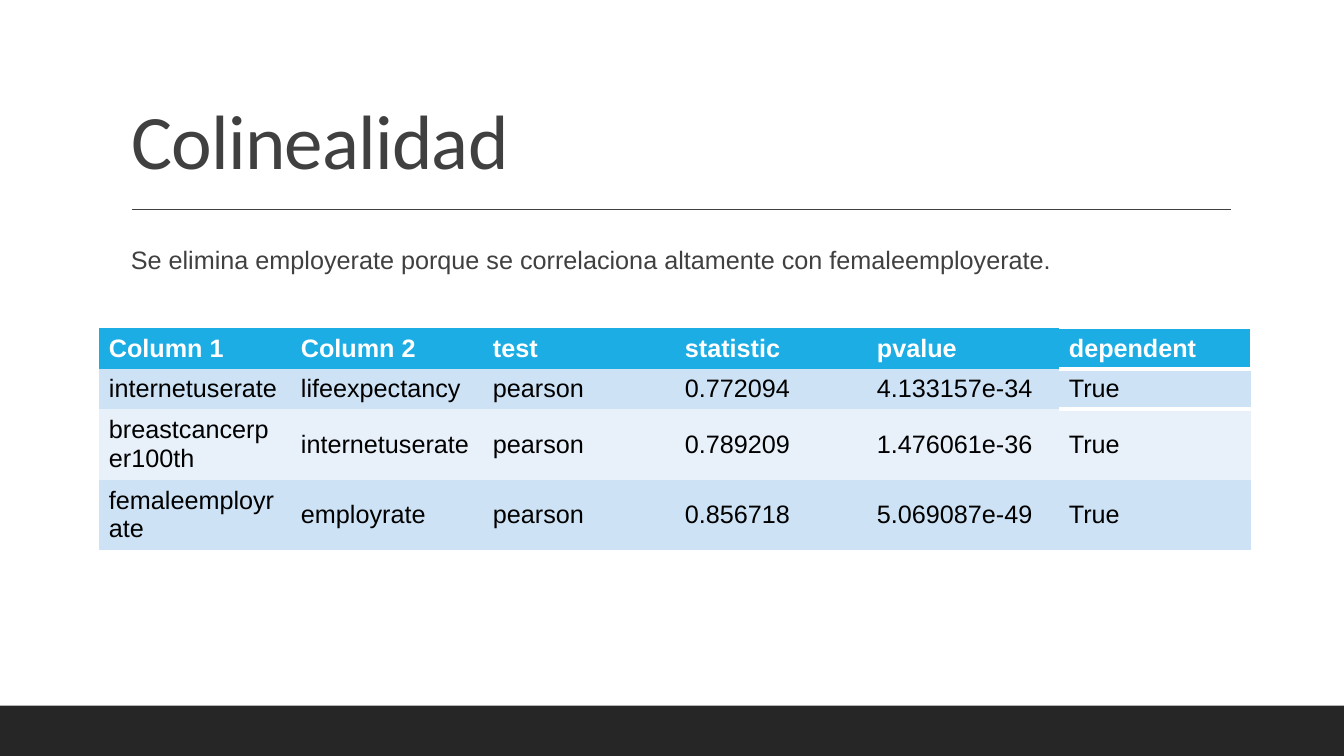
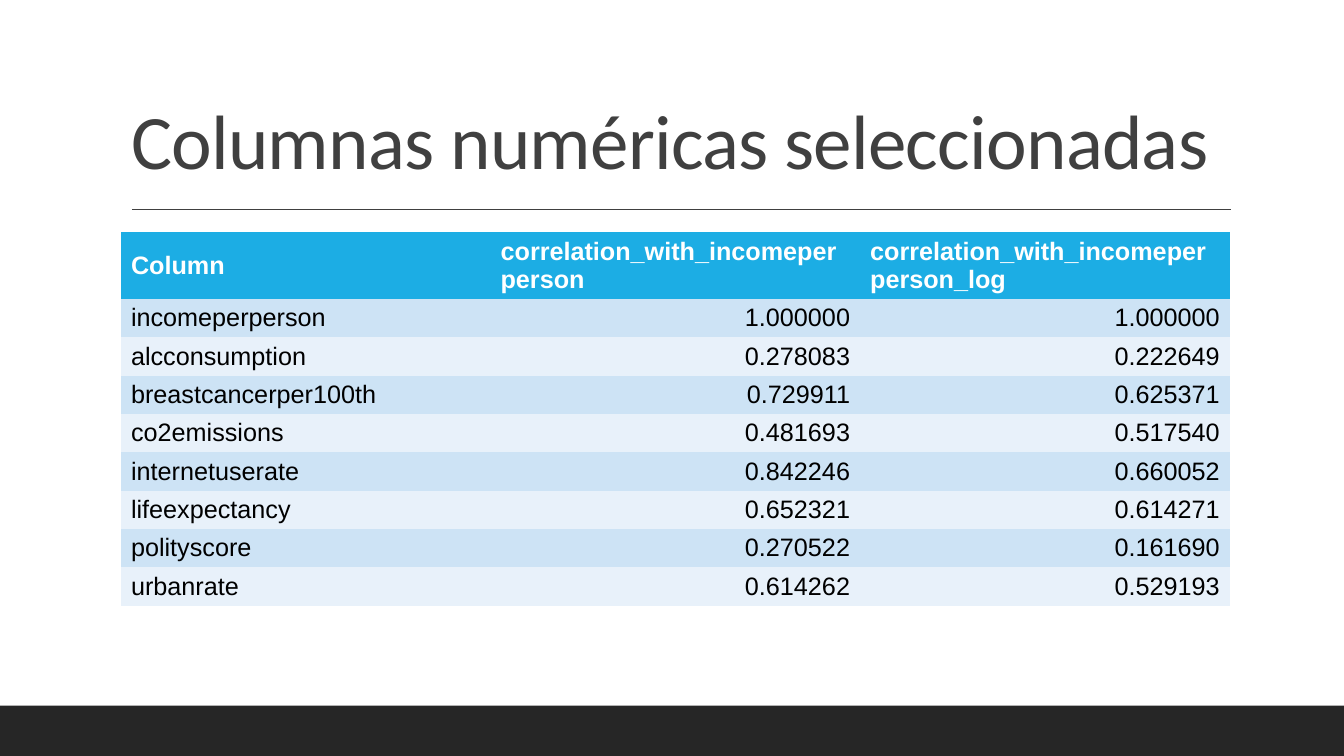
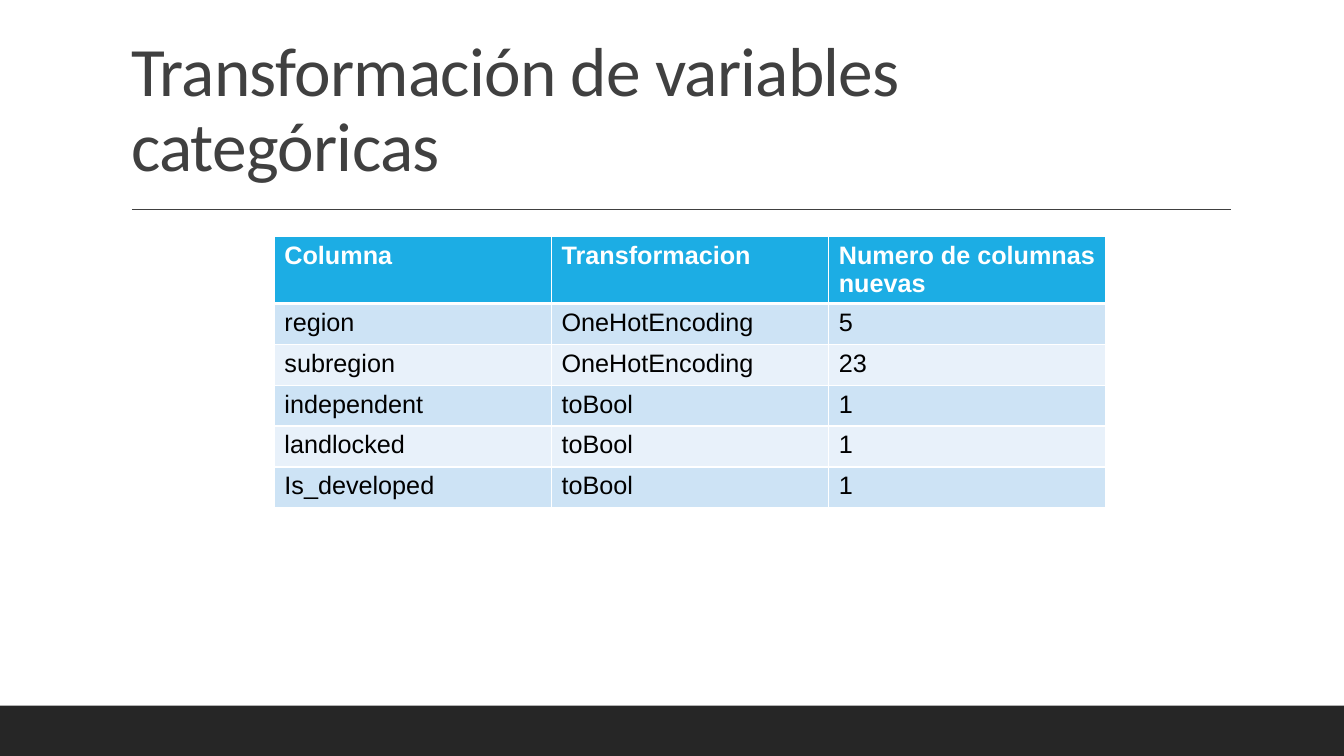
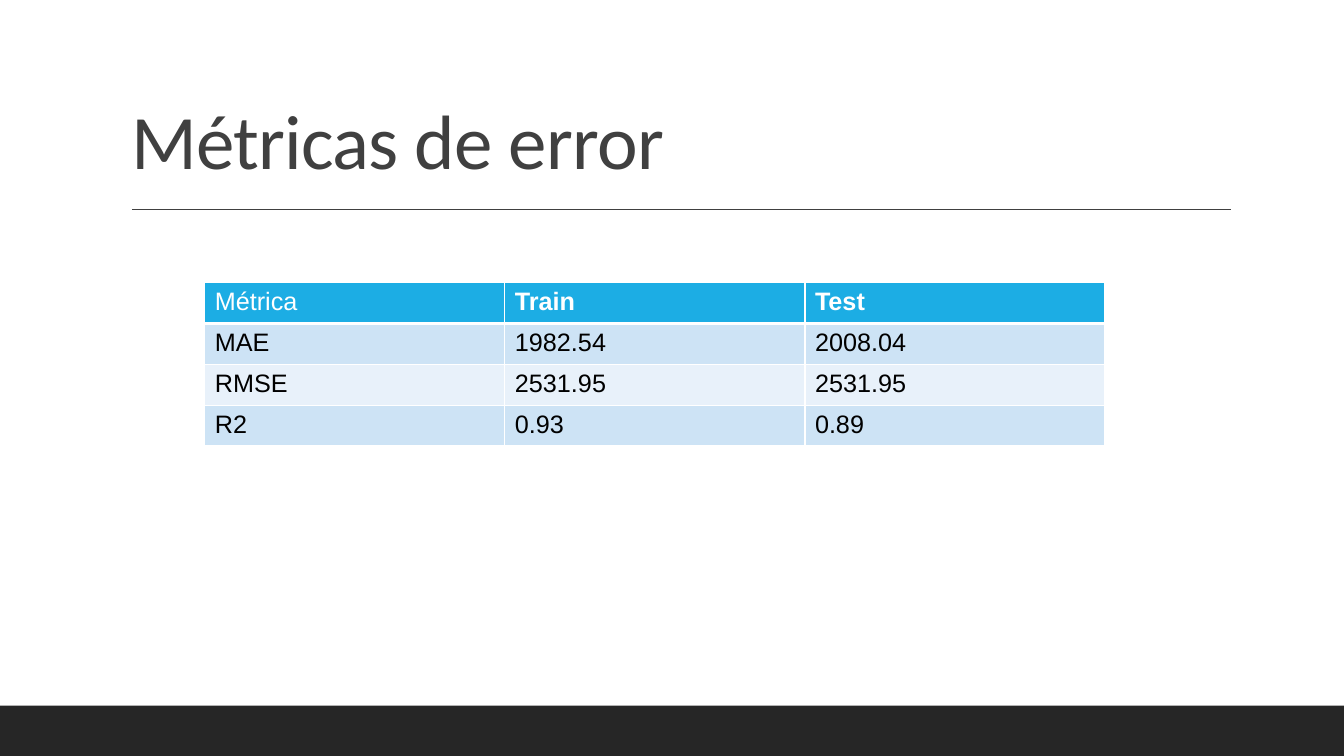
from dataclasses import dataclass

from lxml.etree import SubElement
from pptx import Presentation
from pptx.dml.color import RGBColor
from pptx.enum.shapes import MSO_CONNECTOR, MSO_SHAPE
from pptx.enum.text import MSO_ANCHOR, MSO_AUTO_SIZE, PP_ALIGN
from pptx.oxml.ns import qn
from pptx.util import Pt


@dataclass(frozen=True)
class Theme:
    """Colours, fonts and type sizes shared by all slides."""
    ink: str = "404040"
    band: str = "262626"
    header: str = "1CADE4"
    odd_row: str = "CDE3F5"
    even_row: str = "E8F1FA"
    white: str = "FFFFFF"
    black: str = "000000"
    title_font: str = "Calibri"
    body_font: str = "Arial"
    title_size: float = 55
    long_title_size: float = 49.5
    body_size: float = 18
    no_grid_style: str = "{2D5ABB26-0587-4C30-8999-92F81FD0307C}"


theme = Theme()


def write(frame, text, font=theme.body_font, size=theme.body_size, color=theme.black,
          bold=False, align=PP_ALIGN.LEFT, line_spacing=1.0, before=0, after=0, tracking=0):
    """Write one formatted paragraph into a text frame."""
    paragraph = frame.paragraphs[0]
    paragraph.alignment = align
    paragraph.line_spacing = line_spacing
    paragraph.space_before, paragraph.space_after = Pt(before), Pt(after)
    run = paragraph.add_run()
    run.text = text
    run.font.name, run.font.size, run.font.bold = font, Pt(size), bold
    run.font.color.rgb = RGBColor.from_string(color)
    if tracking:
        run.font._element.set("spc", str(round(tracking * 100)))


def add_borders(cell, widths):
    """Give a cell white borders; widths maps L, R, T and B to points."""
    properties = cell._tc.get_or_add_tcPr()
    for side in "LRTB":
        if side in widths:
            border = SubElement(properties, qn(f"a:ln{side}"), w=str(Pt(widths[side])))
            fill = SubElement(border, qn("a:solidFill"))
            SubElement(fill, qn("a:srgbClr"), val=theme.white)


# left, top, width and row height are in points
slides = [
    dict(
        title="Colinealidad",
        note="Se elimina employerate porque se correlaciona altamente con femaleemployerate.",
        left=70.6, top=234.5, width=823, row_height=27.4, ruled_header_end=True,
        rows=[
            ("Column 1", "Column 2", "test", "statistic", "pvalue", "dependent"),
            ("internetuserate", "lifeexpectancy", "pearson", "0.772094", "4.133157e-34", "True"),
            ("breastcancerper100th", "internetuserate", "pearson", "0.789209", "1.476061e-36", "True"),
            ("femaleemployrate", "employrate", "pearson", "0.856718", "5.069087e-49", "True"),
        ],
    ),
    dict(
        title="Columnas numéricas seleccionadas",
        left=86.4, top=166, width=792, row_height=27.4, numbers_right=True,
        rows=[
            ("Column", "correlation_with_incomeperperson", "correlation_with_incomeperperson_log"),
            ("incomeperperson", "1.000000", "1.000000"),
            ("alcconsumption", "0.278083", "0.222649"),
            ("breastcancerper100th", "0.729911", "0.625371"),
            ("co2emissions", "0.481693", "0.517540"),
            ("internetuserate", "0.842246", "0.660052"),
            ("lifeexpectancy", "0.652321", "0.614271"),
            ("polityscore", "0.270522", "0.161690"),
            ("urbanrate", "0.614262", "0.529193"),
        ],
    ),
    dict(
        title="Transformación de variables categóricas", title_size=theme.long_title_size,
        left=196, top=169.2, width=594, row_height=29.2, grid=True,
        rows=[
            ("Columna", "Transformacion", "Numero de columnas nuevas"),
            ("region", "OneHotEncoding", "5"),
            ("subregion", "OneHotEncoding", "23"),
            ("independent", "toBool", "1"),
            ("landlocked", "toBool", "1"),
            ("Is_developed", "toBool", "1"),
        ],
    ),
    dict(
        title="Métricas de error",
        left=146.3, top=201.8, width=643, row_height=29.2, grid=True, light_first_header=True,
        rows=[
            ("Métrica", "Train", "Test"),
            ("MAE", "1982.54", "2008.04"),
            ("RMSE", "2531.95", "2531.95"),
            ("R2", "0.93", "0.89"),
        ],
    ),
]

deck = Presentation()
deck.slide_width, deck.slide_height = Pt(960), Pt(540)
title_only = deck.slide_layouts[5]

for content in slides:
    slide = deck.slides.add_slide(title_only)

    band = slide.shapes.add_shape(MSO_SHAPE.RECTANGLE, 0, Pt(504), Pt(960), Pt(36))
    band.shadow.inherit = False
    band.fill.solid()
    band.fill.fore_color.rgb = RGBColor.from_string(theme.band)
    band.line.fill.background()

    rule = slide.shapes.add_connector(MSO_CONNECTOR.STRAIGHT, Pt(94.3), Pt(149.5), Pt(879), Pt(149.5))
    rule.line.color.rgb = RGBColor.from_string(theme.ink)
    rule.line.width = Pt(1)
    SubElement(rule._element.spPr, qn("a:effectLst"))

    title = slide.shapes.title
    title.left, title.top, title.width, title.height = Pt(86.4), Pt(22.3), Pt(792), Pt(114.5)
    heading = title.text_frame
    heading.auto_size = MSO_AUTO_SIZE.NONE
    heading.word_wrap = True
    heading.vertical_anchor = MSO_ANCHOR.BOTTOM
    heading.margin_right = Pt(12)
    write(heading, content["title"], font=theme.title_font,
          size=content.get("title_size", theme.title_size), color=theme.ink,
          line_spacing=0.9, tracking=-0.5)

    if "note" in content:
        note = slide.shapes.add_textbox(Pt(86.4), Pt(166.3), Pt(792), Pt(60)).text_frame
        note.word_wrap = True
        write(note, content["note"], color=theme.ink, line_spacing=1.2, before=12, after=2)

    rows = content["rows"]
    grid = content.get("grid", False)
    last_column = len(rows[0]) - 1
    table_frame = slide.shapes.add_table(
        len(rows), len(rows[0]), Pt(content["left"]), Pt(content["top"]),
        Pt(content["width"]), Pt(content["row_height"] * len(rows)))
    for style in table_frame._element.iter(qn("a:tableStyleId")):
        style.text = theme.no_grid_style

    for row, values in enumerate(rows):
        is_header = row == 0
        row_fill = theme.header if is_header else theme.odd_row if row % 2 else theme.even_row
        for column, value in enumerate(values):
            cell = table_frame.table.cell(row, column)
            cell.vertical_anchor = MSO_ANCHOR.TOP if grid else MSO_ANCHOR.MIDDLE
            if grid:
                add_borders(cell, dict(L=1, R=1, T=3 if row == 1 else 1, B=3 if is_header else 1))
            elif content.get("ruled_header_end") and column == last_column and row < 2:
                add_borders(cell, dict(R=1, T=1, B=3) if is_header else dict(T=3))
            cell.fill.solid()
            cell.fill.fore_color.rgb = RGBColor.from_string(row_fill)
            is_light = content.get("light_first_header", False) and column == 0
            is_number = content.get("numbers_right", False) and column > 0 and not is_header
            write(cell.text_frame, value, bold=is_header and not is_light,
                  color=theme.white if is_header else theme.black,
                  align=PP_ALIGN.RIGHT if is_number else PP_ALIGN.LEFT)

deck.save("out.pptx")
